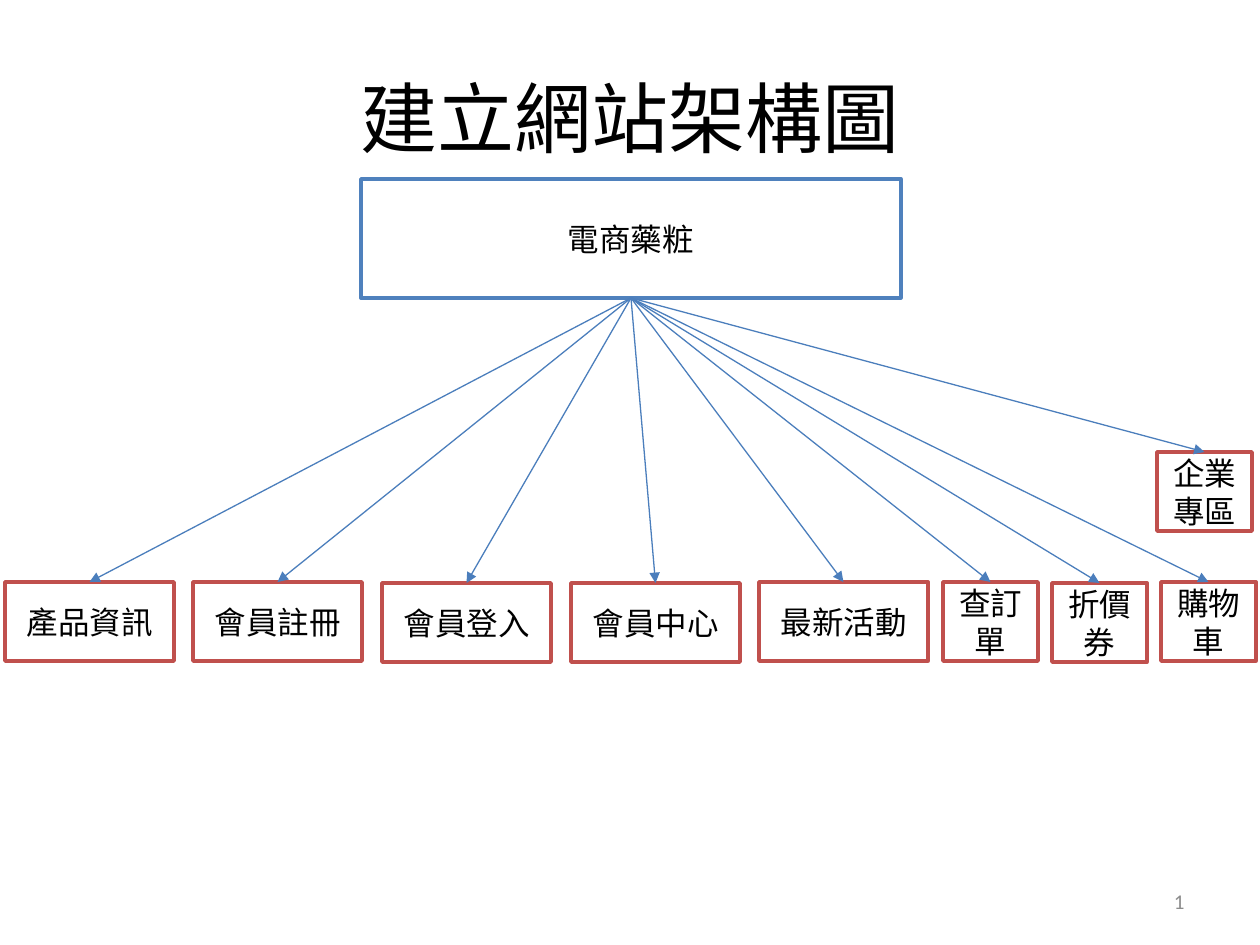
from lxml import etree
from pptx import Presentation
from pptx.dml.color import RGBColor
from pptx.enum.shapes import MSO_CONNECTOR as Connector, MSO_SHAPE as Shape
from pptx.enum.text import MSO_ANCHOR as Anchor, PP_ALIGN as Align
from pptx.oxml.ns import qn
from pptx.util import Pt

PX_PER_INCH = 126
EMU_PER_PX = 914400 / PX_PER_INCH
FONT = "Calibri"
COLORS = {
    "background": "FFFFFF",
    "text": "000000",
    "number": "8C8C8C",
    "root": "4F81BD",
    "page": "C0504D",
    "arrow": "4B7EBC",
}
BOTTOM, TOP = 2, 0
WIDE_PAGES = ["產品資訊", "會員註冊", "會員登入", "會員中心", "最新活動"]
NARROW_PAGES = ["查訂單", "折價券", "購物車"]
LOWERED_PAGES = {"會員登入", "會員中心", "折價券"}  # these sit 1 px lower


def px(length):
    return round(length * EMU_PER_PX)


def color(name):
    return RGBColor.from_string(COLORS[name])


def place(shape, box):
    shape.left, shape.top, shape.width, shape.height = map(px, box)


def style_text(text_frame, size, color_name, align):
    text_frame.word_wrap = True
    text_frame.vertical_anchor = Anchor.MIDDLE
    for paragraph in text_frame.paragraphs:
        paragraph.alignment = align
        for run in paragraph.runs:
            run.font.size = Pt(size)
            run.font.name = FONT
            run.font.color.rgb = color(color_name)


def add_title(slide, box, text):
    title = slide.shapes.title
    place(title, box)
    title.text_frame.text = text
    style_text(title.text_frame, 44, "text", Align.CENTER)


def add_slide_number(slide, box, number):
    """Add a text box whose run is a live slide-number field."""
    text_frame = slide.shapes.add_textbox(*map(px, box)).text_frame
    text_frame.text = str(number)
    style_text(text_frame, 12, "number", Align.RIGHT)
    run = text_frame.paragraphs[0].runs[0]._r
    field = etree.Element(qn("a:fld"), type="slidenum",
                          id="{B6F15528-21DE-4FAA-801E-634DDDAF4B2B}")
    run.addprevious(field)
    field.extend(list(run))
    run.getparent().remove(run)


def add_node(slide, box, text, line_color):
    node = slide.shapes.add_shape(Shape.RECTANGLE, *map(px, box))
    node.shadow.inherit = False
    node.fill.solid()
    node.fill.fore_color.rgb = color("background")
    node.line.color.rgb = color(line_color)
    node.line.width = Pt(2)
    node.text_frame.text = text
    style_text(node.text_frame, 18, "text", Align.CENTER)
    return node


def add_arrow(slide, parent, child):
    arrow = slide.shapes.add_connector(Connector.STRAIGHT, 0, 0, 0, 0)
    arrow.begin_connect(parent, BOTTOM)
    arrow.end_connect(child, TOP)
    arrow.line.color.rgb = color("arrow")
    arrow.line.width = Pt(0.75)
    etree.SubElement(arrow.line._get_or_add_ln(), qn("a:tailEnd"), type="triangle")
    etree.SubElement(arrow._element.spPr, qn("a:effectLst"))


def add_page_row(slide, box, names, pitch):
    """Add one box per name, each a pitch to the right of the one before."""
    left, top, width, height = box
    return [
        add_node(slide, (left + round(index * pitch), top + (name in LOWERED_PAGES),
                         width, height), name, "page")
        for index, name in enumerate(names)
    ]


def add_site_map(slide, box):
    left, top, width, height = box
    row_top = top + height - 80
    root = add_node(slide, (left + 356, top, 540, 119), "電商藥粧", "root")
    pages = add_page_row(slide, (left, row_top, 169, 79), WIDE_PAGES, 188.5)
    pages += add_page_row(slide, (left + 938, row_top, 95, 79), NARROW_PAGES, 109)
    pages.append(add_node(slide, (left + width - 99, top + 273, 95, 79), "企業專區", "page"))
    for page in pages:
        add_arrow(slide, root, page)


def main():
    presentation = Presentation()
    presentation.slide_width, presentation.slide_height = px(1260), px(945)
    slide = presentation.slides.add_slide(presentation.slide_layouts[5])
    add_title(slide, (63, 38, 1134, 158), "建立網站架構圖")
    add_slide_number(slide, (903, 876, 294, 50), 1)
    add_site_map(slide, (5, 179, 1251, 483))
    presentation.save("out.pptx")


if __name__ == "__main__":
    main()
